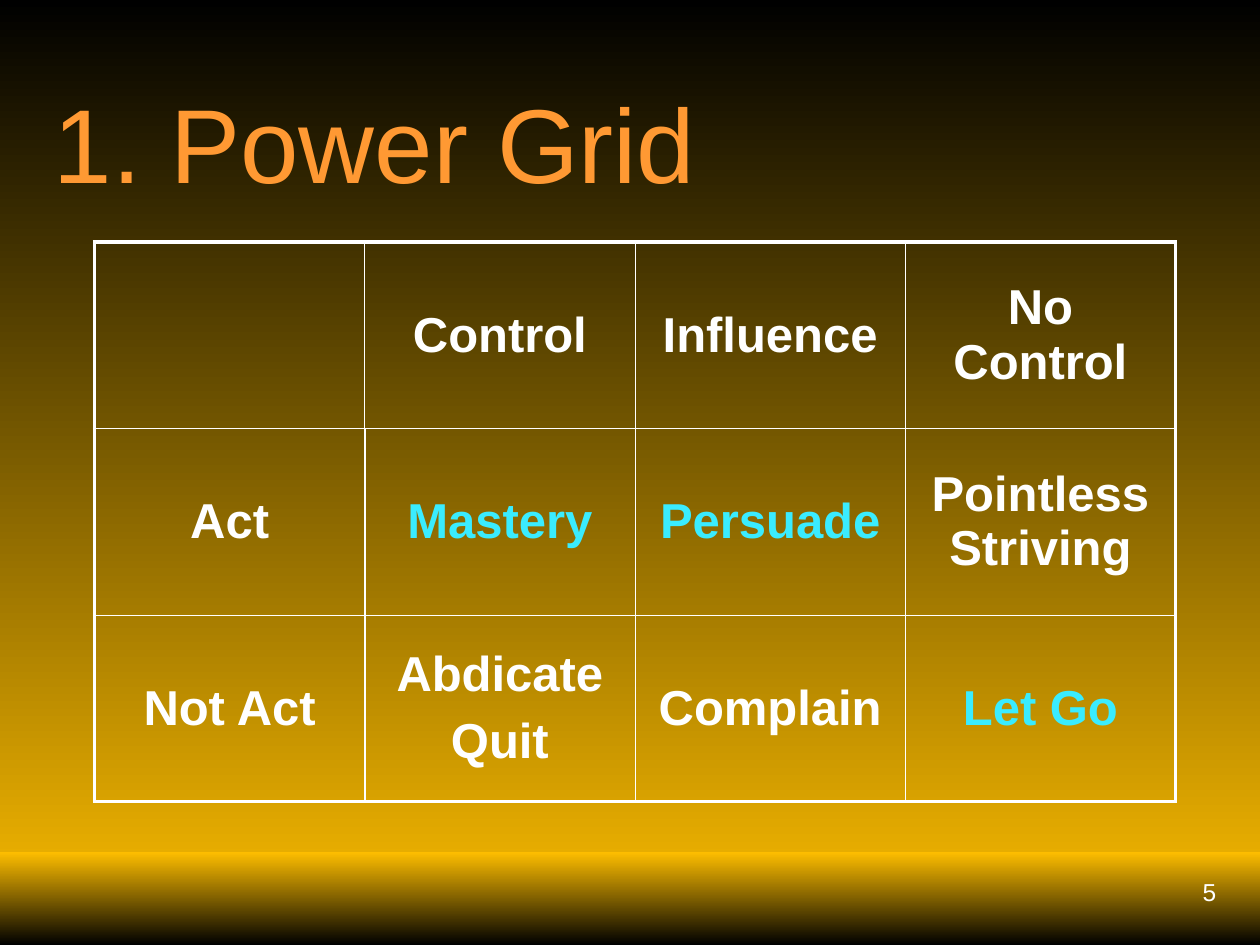
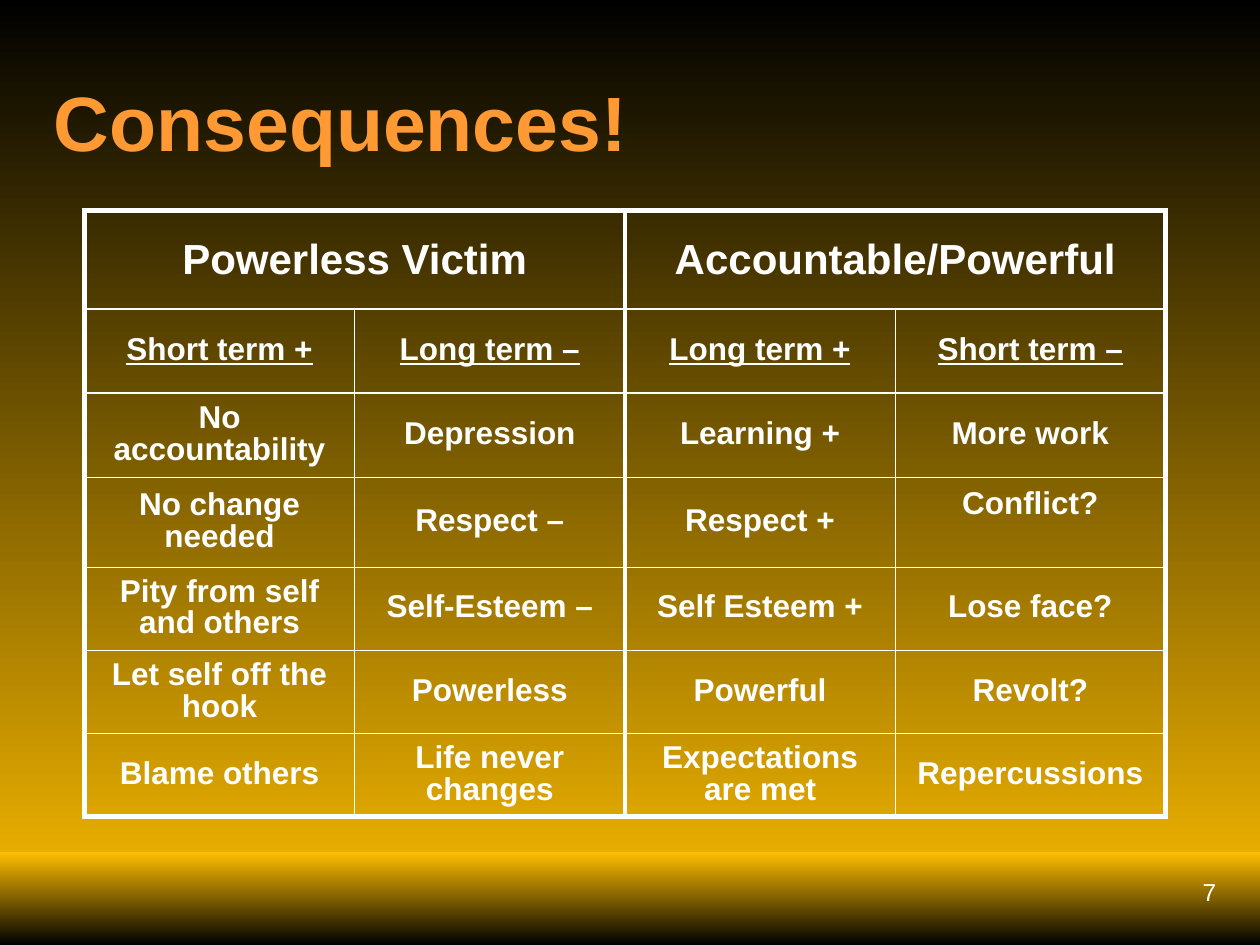
from pptx import Presentation
from pptx.dml.color import RGBColor
from pptx.enum.shapes import MSO_SHAPE as Shape
from pptx.enum.text import MSO_ANCHOR as Anchor, PP_ALIGN as Align
from pptx.oxml import parse_xml
from pptx.oxml.ns import nsdecls
from pptx.util import Inches, Pt

# Content
POWER_GRID = [
    ["", "Control", "Influence", "No Control"],
    ["Act", "Mastery", "Persuade", "Pointless Striving"],
    ["Not Act", "Abdicate\nQuit", "Complain", "Let Go"],
]
BEST_CHOICES = {"Mastery", "Persuade", "Let Go"}

CONSEQUENCES = [
    ["Powerless Victim", "", "Accountable/Powerful", ""],
    ["Short term +", "Long term –", "Long term +", "Short term –"],
    ["No accountability", "Depression", "Learning +", "More work"],
    ["No change needed", "Respect –", "Respect +", "Conflict?"],
    ["Pity from self and others", "Self-Esteem –", "Self Esteem +", "Lose face?"],
    ["Let self off the hook", "Powerless", "Powerful", "Revolt?"],
    ["Blame others", "Life never changes", "Expectations are met", "Repercussions"],
]

# Shared style
FONT = "Arial"
BLACK = RGBColor(0x00, 0x00, 0x00)
GOLD = RGBColor(0xFF, 0xBF, 0x00)
ORANGE = RGBColor(0xFF, 0x99, 0x33)
WHITE = RGBColor(0xFF, 0xFF, 0xFF)
CYAN = RGBColor(0x3A, 0xEC, 0xFF)
COLUMN_WIDTH = 2.145
THIN = 0.45


def fill_downward(fill, top_color, bottom_color):
    fill.gradient()
    fill.gradient_angle = 270
    for stop, position, color in zip(fill.gradient_stops, (0, 1), (top_color, bottom_color)):
        stop.position = position
        stop.color.rgb = color


def style_font(paragraph, size, color, bold=False):
    font = paragraph.font
    font.name, font.size, font.bold = FONT, Pt(size), bold
    font.color.rgb = color


def add_text(slide, text, box, size, color, bold=False, align=Align.LEFT):
    frame = slide.shapes.add_textbox(*map(Inches, box)).text_frame
    frame.word_wrap = True
    frame.vertical_anchor = Anchor.MIDDLE
    frame.text = text
    paragraph = frame.paragraphs[0]
    paragraph.alignment = align
    style_font(paragraph, size, color, bold)


def add_base_slide(presentation, title, title_height, title_size, title_bold, number):
    slide = presentation.slides.add_slide(presentation.slide_layouts[6])
    fill_downward(slide.background.fill, BLACK, GOLD)
    band = slide.shapes.add_shape(
        Shape.RECTANGLE, 0, Inches(6.76), Inches(10), Inches(0.74))
    band.shadow.inherit = False
    band.line.fill.background()
    fill_downward(band.fill, GOLD, BLACK)
    add_text(slide, title, (0.33, 0.5, 9.17, title_height), title_size, ORANGE, title_bold)
    add_text(slide, str(number), (7.67, 6.83, 2.08, 0.5), 14, WHITE, align=Align.RIGHT)
    return slide


def add_grid(slide, rows, left, top, heights):
    columns = len(rows[0])
    table = slide.shapes.add_table(
        len(rows), columns, Inches(left), Inches(top),
        Inches(COLUMN_WIDTH * columns), Inches(sum(heights))).table
    table.first_row = table.horz_banding = False
    for column in table.columns:
        column.width = Inches(COLUMN_WIDTH)
    for row, height in zip(table.rows, heights):
        row.height = Inches(height)
    return table


def write_cell(cell, text, size, color=WHITE, space_before=0, line_spacing=None):
    cell.vertical_anchor = Anchor.MIDDLE
    cell.text = text
    for index, paragraph in enumerate(cell.text_frame.paragraphs):
        paragraph.alignment = Align.CENTER
        if index:
            paragraph.space_before = Pt(space_before)
        if line_spacing:
            paragraph.line_spacing = line_spacing
        style_font(paragraph, size, color, bold=True)


def set_border(cell, **widths):
    """Draw the given sides (L, R, T, B) in white, widths in points."""
    properties = cell._tc.get_or_add_tcPr()
    for index, (side, width) in enumerate(widths.items()):
        properties.insert(index, parse_xml(
            f'<a:ln{side} {nsdecls("a")} w="{Pt(width)}"><a:solidFill>'
            f'<a:srgbClr val="{WHITE}"/></a:solidFill></a:ln{side}>'))


def rule_grid(table, vertical, horizontal, thin_corner=False):
    """Rule the table by the weights of its vertical and horizontal lines."""
    for row in range(len(table.rows)):
        for column in range(len(table.columns)):
            cell = table.cell(row, column)
            cell.fill.background()
            end = column + (cell.span_width if cell.is_merge_origin else 1)
            sides = {"L": vertical[column], "R": vertical[end],
                     "T": horizontal[row], "B": horizontal[row + 1]}
            if cell.is_spanned:
                del sides["L"]
            if thin_corner:
                # The lines around the empty corner cell stay thin
                if row == 0 and column < 2:
                    sides["R" if column == 0 else "L"] = THIN
                if column == 0 and row < 2:
                    sides["B" if row == 0 else "T"] = THIN
            set_border(cell, **sides)


def add_power_grid(presentation):
    slide = add_base_slide(presentation, "1. Power Grid", 1.25, 60, False, 5)
    table = add_grid(slide, POWER_GRID, 0.75, 1.92, [1.48] * 3)
    for row, texts in enumerate(POWER_GRID):
        for column, text in enumerate(texts):
            color = CYAN if text in BEST_CHOICES else WHITE
            write_cell(table.cell(row, column), text, 28, color, space_before=7)
    rule_grid(table, [2.21, 1.08, THIN, THIN, 2.21], [2.21, 1.08, THIN, 2.21],
              thin_corner=True)


def add_consequences(presentation):
    slide = add_base_slide(presentation, "Consequences!", 0.92, 44, True, 7)
    heights = [0.78, 0.67, 0.67, 0.71, 0.66, 0.66, 0.66]
    table = add_grid(slide, CONSEQUENCES, 0.67, 1.67, heights)
    # Group headings span two columns each
    for column in (0, 2):
        table.cell(0, column).merge(table.cell(0, column + 1))
        write_cell(table.cell(0, column), CONSEQUENCES[0][column], 24)
    for row, texts in enumerate(CONSEQUENCES[1:], start=1):
        for column, text in enumerate(texts):
            cell = table.cell(row, column)
            write_cell(cell, text, 18, line_spacing=0.9)
            if row == 1:
                cell.text_frame.paragraphs[0].font.underline = True
            if text == "Conflict?":
                cell.margin_bottom = Inches(0.32)  # sits on the upper line
    rule_grid(table, [3, THIN, 3, THIN, 3], [3, 1.47, 1.47] + [THIN] * 4 + [3])


def main():
    presentation = Presentation()
    presentation.slide_width, presentation.slide_height = Inches(10), Inches(7.5)
    add_power_grid(presentation)
    add_consequences(presentation)
    presentation.save("out.pptx")


if __name__ == "__main__":
    main()
